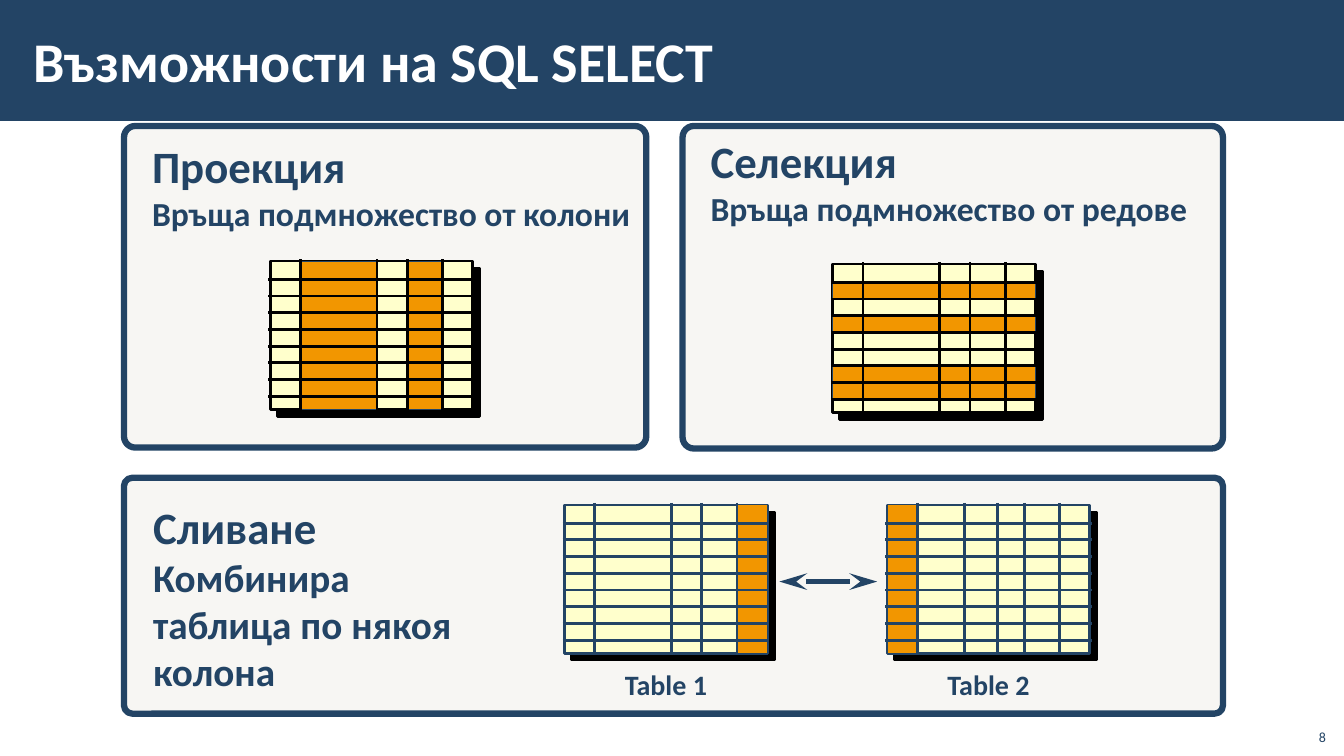
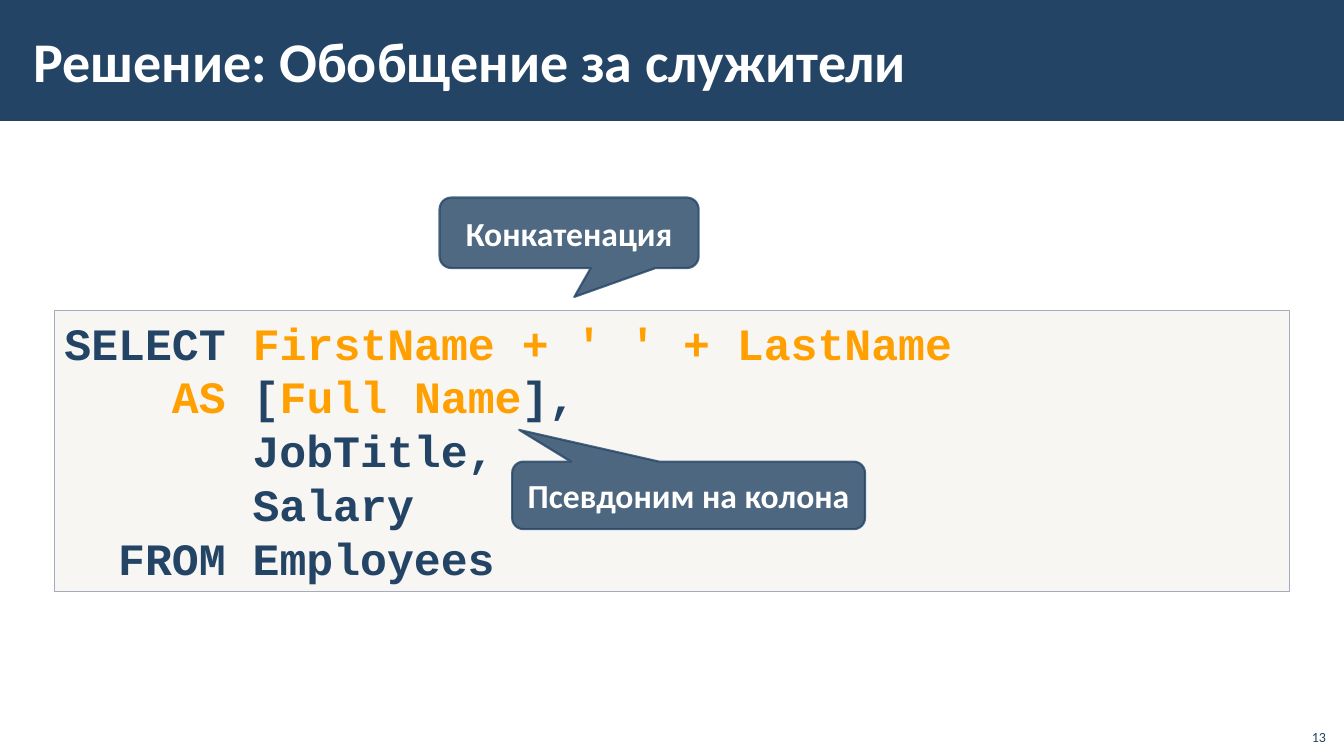
from dataclasses import dataclass
from itertools import pairwise

from lxml import etree
from pptx import Presentation
from pptx.dml.color import RGBColor
from pptx.enum import shapes, text
from pptx.oxml import ns
from pptx.util import Inches, Pt


@dataclass(frozen=True)
class Theme:
    navy: str = "234465"
    sand: str = "D9D5C7"
    cream: str = "FFFFCC"
    orange: str = "F29600"
    amber: str = "FFA000"
    border: str = "A3ABBC"
    white: str = "FFFFFF"
    black: str = "000000"
    body_font: str = "Calibri"
    code_font: str = "Courier New"
    title: int = 40
    heading: int = 32
    detail: int = 28
    label: int = 24
    caption: int = 20
    number: int = 10


THEME = Theme()
SHAPE = shapes.MSO_SHAPE
ALIGN = text.PP_ALIGN
ANCHOR = text.MSO_ANCHOR
TITLE_BOX = (0.21, 0.11, 10.63, 0.97)
CODE_CHARACTER = THEME.heading * 0.6
COLUMNS = (0, 0.3, 1.06, 1.36, 1.71, 2.01)
COLUMNS_JOINED = (0, 0.3, 0.77, 1.09, 1.36, 1.71, 2.01)
ROWS = (0, *(0.18 + 0.166 * step for step in range(8)), 1.47)


def inches(box):
    return [Inches(length) for length in box]


def add_xml(parent, tag, **attributes):
    return etree.SubElement(parent, ns.qn(tag), attributes)


def set_opacity(shape, percent):
    for colour in shape._element.spPr.iter(ns.qn("a:srgbClr")):
        add_xml(colour, "a:alpha", val=str(percent * 1000))


def set_line(shape, colour, width):
    shape.line.color.rgb = RGBColor.from_string(colour)
    shape.line.width = Pt(width)


def add_box(parent, kind, box, fill, opacity=100):
    shape = parent.add_shape(kind, *inches(box))
    shape.shadow.inherit = False
    shape.fill.solid()
    shape.fill.fore_color.rgb = RGBColor.from_string(fill)
    if opacity < 100:
        set_opacity(shape, opacity)
    return shape


def add_line(parent, start, end, colour, width):
    line = parent.add_connector(
        shapes.MSO_CONNECTOR.STRAIGHT, *inches((*start, *end))
    )
    set_line(line, colour, width)
    add_xml(line._element.spPr, "a:effectLst")
    return line


def format_span(span, size, colour, bold=True, font=THEME.body_font):
    span.font.name = font
    span.font.size = Pt(size)
    span.font.bold = bold
    span.font.color.rgb = RGBColor.from_string(colour)


def write(frame, lines, colour=THEME.navy, align=ALIGN.LEFT,
          anchor=ANCHOR.TOP, bold=True):
    frame.word_wrap = True
    frame.vertical_anchor = anchor
    frame.text = "\n".join(words for words, size in lines)
    for para, (words, size) in zip(frame.paragraphs, lines):
        para.alignment = align
        format_span(para.runs[0], size, colour, bold)


def add_text(page, box, lines, **style):
    write(page.shapes.add_textbox(*inches(box)).text_frame, lines, **style)


def prepare_layout(deck):
    layout = deck.slide_layouts.get_by_name("Title Only")
    title = layout.placeholders[0]
    title.left, title.top, title.width, title.height = inches(TITLE_BOX)
    return layout


def add_band(layout, page):
    band = add_box(page.shapes, SHAPE.RECTANGLE, (0, 0, 13.34, 1.2), THEME.navy)
    band.line.fill.background()
    layout.shapes._spTree.insert(2, band._element)


def add_page(deck, layout, heading, number):
    page = deck.slides.add_slide(layout)
    title = page.shapes.title
    title.left, title.top, title.width, title.height = inches(TITLE_BOX)
    frame = title.text_frame
    frame.auto_size = text.MSO_AUTO_SIZE.NONE
    frame.margin_left = frame.margin_right = Inches(0.12)
    frame.margin_top = frame.margin_bottom = Inches(0.04)
    write(frame, [(heading, THEME.title)], THEME.white, anchor=ANCHOR.MIDDLE)
    add_text(page, (12.85, 7.12, 0.4, 0.32), [(number, THEME.number)],
             align=ALIGN.RIGHT, anchor=ANCHOR.BOTTOM, bold=False)
    return page


def add_panel(page, box):
    panel = add_box(page.shapes, SHAPE.ROUNDED_RECTANGLE, box, THEME.sand, 20)
    panel.adjustments[0] = 0.035
    set_line(panel, THEME.navy, 4.5)


def add_hard_shadow(shape):
    effects = shape._element.spPr.find(ns.qn("a:effectLst"))
    shadow = add_xml(effects, "a:outerShdw", dist=str(Pt(7.1)),
                     dir=str(45 * 60000), algn="ctr", rotWithShape="0")
    add_xml(shadow, "a:srgbClr", val=THEME.black)


def add_grid(page, left, top, ink, columns=COLUMNS, marked_columns=(),
             marked_rows=()):
    width, height = columns[-1], ROWS[-1]
    grid = page.shapes.add_group_shape().shapes
    sheet = add_box(grid, SHAPE.RECTANGLE, (left, top, width, height), THEME.cream)
    set_line(sheet, ink, 2)
    add_hard_shadow(sheet)

    column_spans, row_spans = list(pairwise(columns)), list(pairwise(ROWS))
    strips = [(*column_spans[index], 0, height) for index in marked_columns]
    strips += [(0, width, *row_spans[index]) for index in marked_rows]
    for x1, x2, y1, y2 in strips:
        box = (left + x1, top + y1, x2 - x1, y2 - y1)
        set_line(add_box(grid, SHAPE.RECTANGLE, box, THEME.orange),
                 THEME.navy, 0.75)

    overhang = 0.02
    for x in columns[1:-1]:
        add_line(grid, (left + x, top - overhang),
                 (left + x, top + height + overhang), ink, 2)
    for y in ROWS[1:-1]:
        add_line(grid, (left - overhang, top + y),
                 (left + width + overhang, top + y), ink, 2)


def add_subset_panel(page, box, text_top, heading, detail, grid_offset, **marks):
    left, top, width, height = box
    add_panel(page, box)
    add_text(page, (left + 0.18, top + text_top, width - 0.18, 1.06),
             [(heading, THEME.heading), (detail, THEME.label)])
    add_grid(page, left + grid_offset[0], top + grid_offset[1], THEME.black,
             **marks)


def add_join_panel(page, box):
    left, top, width, height = box
    add_panel(page, box)
    add_text(page, (left + 0.19, top + 0.17, 3.3, 2.05),
             [("Сливане", THEME.heading),
              ("Комбинира таблица по някоя колона", THEME.detail)])
    tables = (("Table 1", 4.37, COLUMNS, 4),
              ("Table 2", 7.57, COLUMNS_JOINED, 0))
    for caption, offset, columns, key in tables:
        add_grid(page, left + offset, top + 0.27, THEME.navy, columns, (key,))
        add_text(page, (left + offset, top + 1.83, 2.01, 0.43),
                 [(caption, THEME.caption)], align=ALIGN.CENTER)
    arrow = add_line(page.shapes, (left + 6.5, top + 1.03),
                     (left + 7.47, top + 1.03), THEME.navy, 4)
    for end in ("a:headEnd", "a:tailEnd"):
        add_xml(arrow.line._get_or_add_ln(), end, type="stealth", len="lg")


def add_code(page, box, lines):
    panel = add_box(page.shapes, SHAPE.RECTANGLE, box, THEME.sand, 20)
    set_line(panel, THEME.border, 1)
    frame = panel.text_frame
    frame.word_wrap = True
    frame.vertical_anchor = ANCHOR.TOP
    for index, (indent, parts) in enumerate(lines):
        para = frame.add_paragraph() if index else frame.paragraphs[0]
        para.alignment = ALIGN.LEFT
        para._p.get_or_add_pPr().set("marL", str(Pt(indent * CODE_CHARACTER)))
        for words, colour in parts:
            span = para.add_run()
            span.text = words
            format_span(span, THEME.heading, colour, font=THEME.code_font)


def add_callout(page, box, words, pointer):
    callout = add_box(page.shapes, SHAPE.ROUNDED_RECTANGULAR_CALLOUT, box,
                      THEME.navy)
    callout.adjustments[0], callout.adjustments[1] = pointer
    set_line(callout, THEME.navy, 1.5)
    set_opacity(callout, 80)
    write(callout.text_frame, [(words, THEME.label)], THEME.white,
          ALIGN.CENTER, ANCHOR.MIDDLE)


def fill_capabilities(page):
    add_subset_panel(page, (6.77, 1.25, 5.36, 3.2), 0.03, "Селекция",
                     "Връща подмножество от редове", (1.49, 1.37),
                     marked_rows=(1, 3, 6, 7))
    add_subset_panel(page, (1.23, 1.25, 5.18, 3.19), 0.08, "Проекция",
                     "Връща подмножество от колони", (1.45, 1.34),
                     marked_columns=(1, 3))
    add_join_panel(page, (1.23, 4.74, 10.9, 2.34))


def fill_solution(page):
    plain, accent = THEME.navy, THEME.amber
    add_code(page, (0.54, 3.08, 12.25, 2.79), [
        (0, [("SELECT ", plain), ("FirstName + ' ' + LastName", accent)]),
        (4, [("AS ", accent), ("[", plain), ("Full Name", accent),
             ("],", plain)]),
        (7, [("JobTitle,", plain)]),
        (7, [("Salary", plain)]),
        (2, [("FROM Employees", plain)]),
    ])
    add_callout(page, (4.36, 1.96, 2.57, 0.7), "Конкатенация", (0.02, 0.91))
    add_callout(page, (5.08, 4.58, 3.5, 0.67), "Псевдоним на колона",
                (-0.48, -0.97))


def main():
    deck = Presentation()
    deck.slide_width, deck.slide_height = inches((13.33, 7.5))
    layout = prepare_layout(deck)
    capabilities = add_page(deck, layout, "Възможности на SQL SELECT", "8")
    add_band(layout, capabilities)
    fill_capabilities(capabilities)
    fill_solution(add_page(deck, layout, "Решение: Обобщение за служители", "13"))
    deck.save("out.pptx")


if __name__ == "__main__":
    main()
